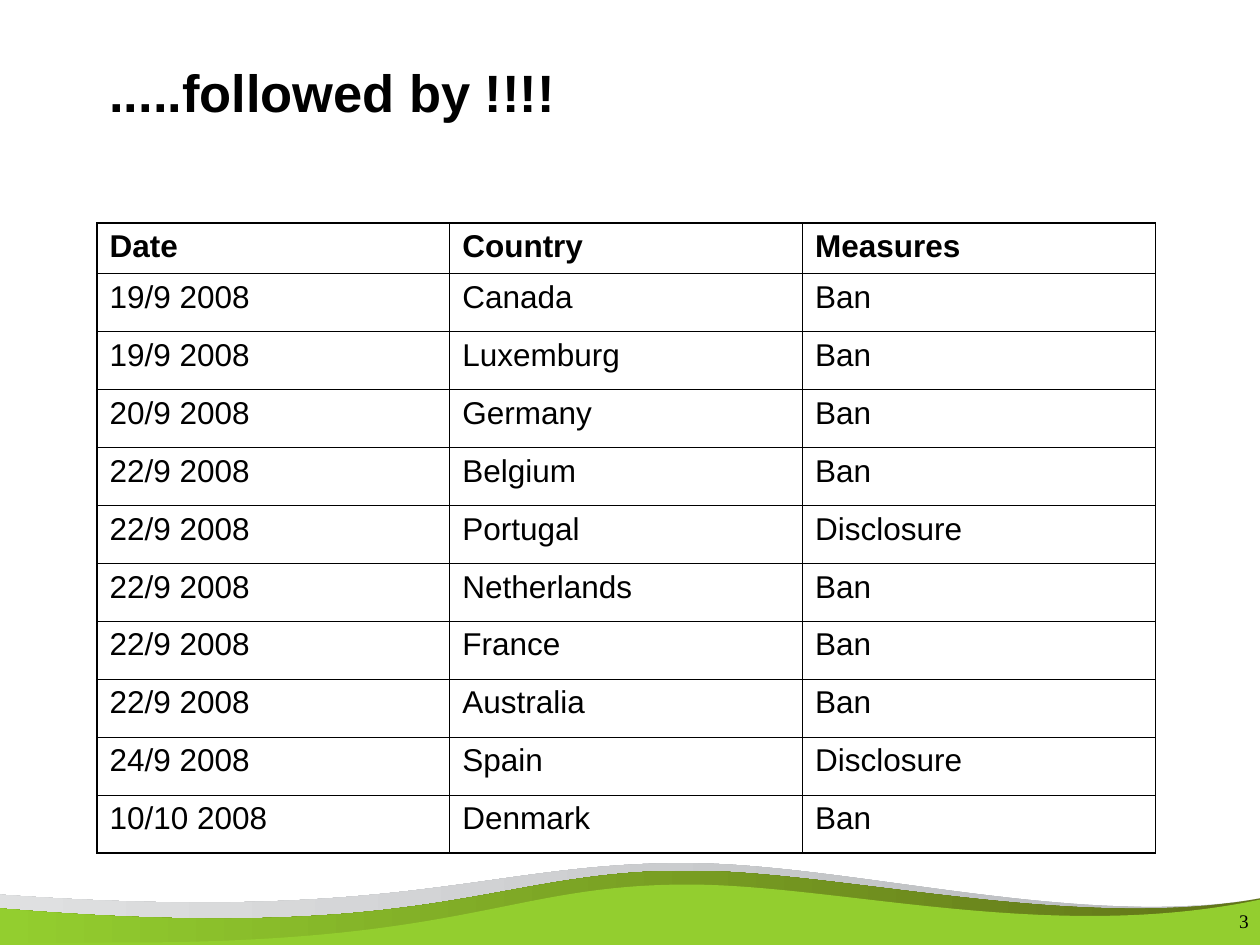
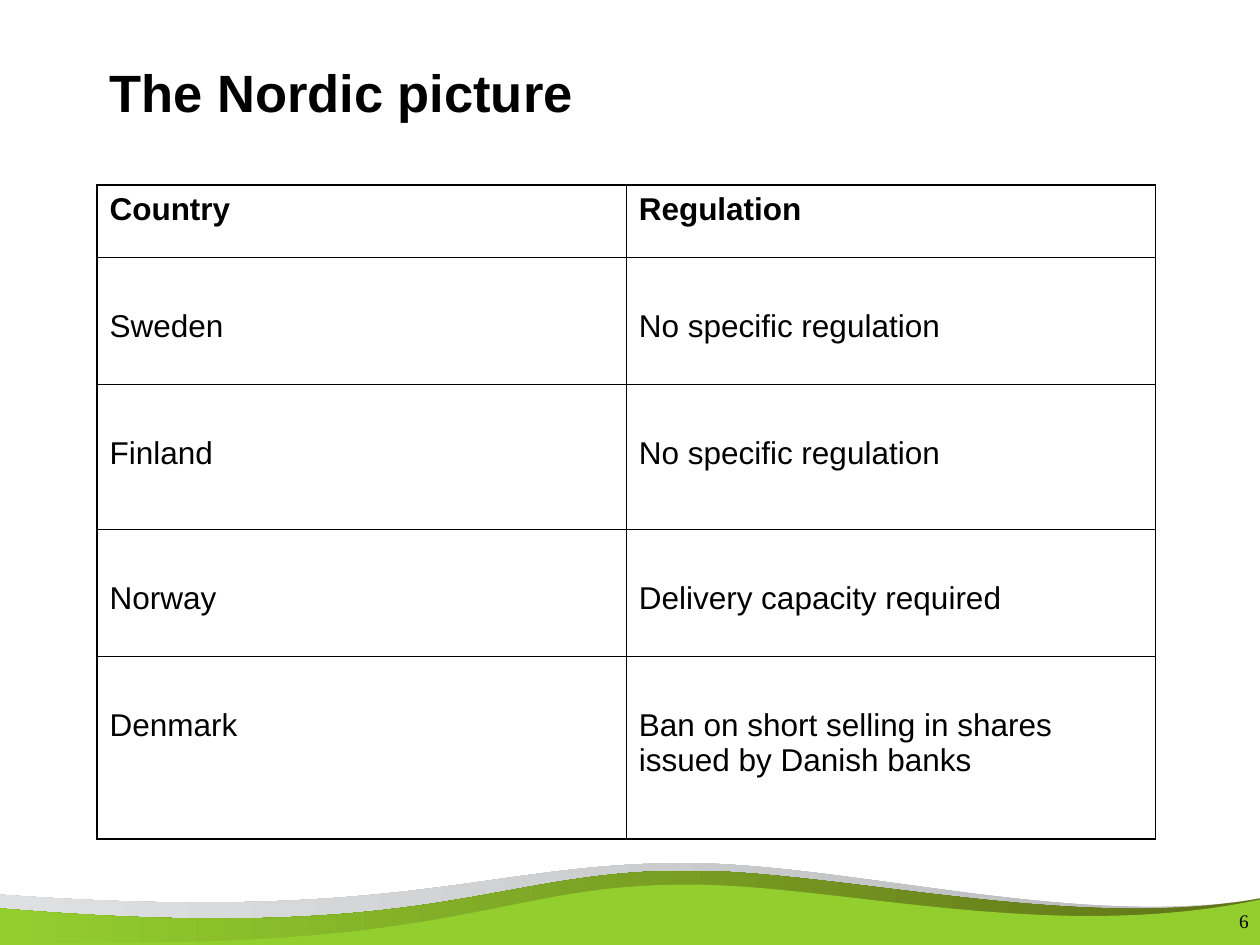
from dataclasses import dataclass

from lxml import etree
from pptx import Presentation
from pptx import util as u
from pptx.dml.color import RGBColor
from pptx.enum import text
from pptx.oxml import ns


@dataclass(frozen=True)
class Theme:
    ink: str = "000000"
    green: str = "93CE2F"
    olive: str = "617418"
    grey: str = "B8BABD"
    pale_grey: str = "DFE0E1"
    font: str = "Arial"
    number_font: str = "Times New Roman"
    title_size: float = 30
    table_size: float = 18
    number_size: float = 11
    outer_line: float = 1.08
    inner_line: float = 0.45


THEME = Theme()

TABLE_LEFT, TABLE_WIDTH = 0.77, 8.4
CELL_MARGIN = 0.05

SLIDES = [
    dict(
        title=".....followed by !!!!",
        number="3",
        top=1.77,
        row_heights=[0.39] + [0.46] * 10,
        body_margin=CELL_MARGIN,
        rows=[
            ("Date", "Country", "Measures"),
            ("19/9 2008", "Canada", "Ban"),
            ("19/9 2008", "Luxemburg", "Ban"),
            ("20/9 2008", "Germany", "Ban"),
            ("22/9 2008", "Belgium", "Ban"),
            ("22/9 2008", "Portugal", "Disclosure"),
            ("22/9 2008", "Netherlands", "Ban"),
            ("22/9 2008", "France", "Ban"),
            ("22/9 2008", "Australia", "Ban"),
            ("24/9 2008", "Spain", "Disclosure"),
            ("10/10 2008", "Denmark", "Ban"),
        ],
    ),
    dict(
        title="The Nordic picture",
        number="6",
        top=1.47,
        row_heights=[0.57, 1.01, 1.15, 1.01, 1.45],
        body_margin=0.41,
        rows=[
            ("Country", "Regulation"),
            ("Sweden", "No specific regulation"),
            ("Finland", "No specific regulation"),
            ("Norway", "Delivery capacity required"),
            ("Denmark", "Ban on short selling in shares issued by Danish banks"),
        ],
    ),
]

# Each wave: start point, segments (one point is a line, three are a Bézier
# curve), and the colours from right to left.
WAVES = [
    ((5.46, 6.91),
     [[(6.65, 6.91), (8.55, 7.43), (10, 7.13)],
      [(8.56, 7.38), (6.74, 6.85), (5.43, 6.85)],
      [(3.86, 6.85), (3.2, 7.33), (0, 7.1)],
      [(0, 7.21)],
      [(3.48, 7.5), (3.89, 6.91), (5.46, 6.91)]],
     (THEME.grey, THEME.pale_grey)),
    ((0, 7.49),
     [[(0, 7.21)],
      [(3.48, 7.5), (3.89, 6.91), (5.46, 6.91)],
      [(6.66, 6.91), (8.55, 7.4), (10, 7.13)],
      [(10, 7.49)]],
     (THEME.olive, THEME.green)),
    ((0, 7.48),
     [[(0.33, 7.49), (0.63, 7.48), (0.91, 7.48)],
      [(3.71, 7.49), (4.03, 7.02), (5.46, 7.02)],
      [(6.66, 7.02), (8.34, 7.49), (10, 7.14)],
      [(10, 7.5)],
      [(0, 7.5)]],
     (THEME.green,)),
]


def to_emu(point):
    return tuple(u.Inches(value) for value in point)


def bend_segments(shape, segments):
    """Turn each run of three straight lines into one cubic Bézier curve."""
    lines = iter(list(shape._element.iter(ns.qn("a:lnTo"))))
    for segment in segments:
        run = [next(lines) for _ in segment]
        if len(run) == 3:
            curve = etree.Element(ns.qn("a:cubicBezTo"))
            run[0].addprevious(curve)
            for line in run:
                curve.append(line[0])
                line.getparent().remove(line)


def add_wave(slide, start, segments, colors):
    builder = slide.shapes.build_freeform(*to_emu(start))
    builder.add_line_segments(
        [to_emu(point) for segment in segments for point in segment], close=True)
    shape = builder.convert_to_shape()
    bend_segments(shape, segments)
    shape.shadow.inherit = False
    shape.line.fill.background()
    if len(colors) == 1:
        shape.fill.solid()
        shape.fill.fore_color.rgb = RGBColor.from_string(colors[0])
    else:
        shape.fill.gradient()
        shape.fill.gradient_angle = 180
        for stop, color in zip(shape.fill.gradient_stops, colors):
            stop.color.rgb = RGBColor.from_string(color)
    return shape


def move_waves_to_layout(slide):
    """Draw the waves and hand them to the layout that all slides share."""
    layout = slide.slide_layout
    for placeholder in list(layout.placeholders):
        layout.shapes.element.remove(placeholder.element)
    waves = [add_wave(slide, *wave) for wave in WAVES]
    for wave in waves:
        layout.shapes.element.append(wave.element)


def style_paragraph(paragraph, size, font=THEME.font, bold=False):
    paragraph.font.name = font
    paragraph.font.size = u.Pt(size)
    paragraph.font.bold = bold
    paragraph.font.color.rgb = RGBColor.from_string(THEME.ink)


def add_label(slide, box, label, margin, **style):
    frame = slide.shapes.add_textbox(*map(u.Inches, box)).text_frame
    frame.word_wrap = True
    frame.margin_left = frame.margin_right = u.Inches(margin)
    frame.text = label
    style_paragraph(frame.paragraphs[0], **style)
    return frame


def set_borders(cell, widths):
    """Draw the left, right, top and bottom borders, in that order."""
    properties = cell._tc.get_or_add_tcPr()
    for index, (side, width) in enumerate(zip("LRTB", widths)):
        line = etree.Element(ns.qn(f"a:ln{side}"), w=str(u.Pt(width)))
        fill = etree.SubElement(line, ns.qn("a:solidFill"))
        etree.SubElement(fill, ns.qn("a:srgbClr"), val=THEME.ink)
        properties.insert(index, line)


def add_grid(slide, rows, top, row_heights, body_margin):
    row_count, column_count = len(rows), len(rows[0])
    table = slide.shapes.add_table(
        row_count, column_count, u.Inches(TABLE_LEFT), u.Inches(top),
        u.Inches(TABLE_WIDTH), u.Inches(sum(row_heights))).table
    table.first_row = table.horz_banding = False
    for column in table.columns:
        column.width = u.Inches(TABLE_WIDTH / column_count)
    for r, (values, height) in enumerate(zip(rows, row_heights)):
        table.rows[r].height = u.Inches(height)
        for c, value in enumerate(values):
            cell = table.cell(r, c)
            cell.text = value
            cell.margin_left = cell.margin_right = u.Inches(0.1)
            cell.margin_top = u.Inches(body_margin if r else CELL_MARGIN)
            cell.margin_bottom = u.Inches(CELL_MARGIN)
            cell.fill.background()
            style_paragraph(cell.text_frame.paragraphs[0], THEME.table_size, bold=r == 0)
            on_edge = (c == 0, c == column_count - 1, r == 0, r == row_count - 1)
            set_borders(cell, [THEME.outer_line if edge else THEME.inner_line
                               for edge in on_edge])


def fill_slide(slide, content):
    add_label(slide, (0.77, 0.43, 7.42, 1.04), content["title"], 0.1,
              size=THEME.title_size, bold=True)
    add_grid(slide, content["rows"], content["top"], content["row_heights"],
             content["body_margin"])
    number = add_label(slide, (9.28, 6.95, 0.72, 0.5), content["number"], 0.09,
                       size=THEME.number_size, font=THEME.number_font)
    number.vertical_anchor = text.MSO_ANCHOR.BOTTOM
    number.paragraphs[0].alignment = text.PP_ALIGN.RIGHT


def main():
    presentation = Presentation()
    presentation.slide_width = u.Inches(10)
    presentation.slide_height = u.Inches(7.5)
    blank_layout = presentation.slide_layouts[6]
    slides = [presentation.slides.add_slide(blank_layout) for _ in SLIDES]
    move_waves_to_layout(slides[0])
    for slide, content in zip(slides, SLIDES):
        fill_slide(slide, content)
    presentation.save("out.pptx")


if __name__ == "__main__":
    main()
